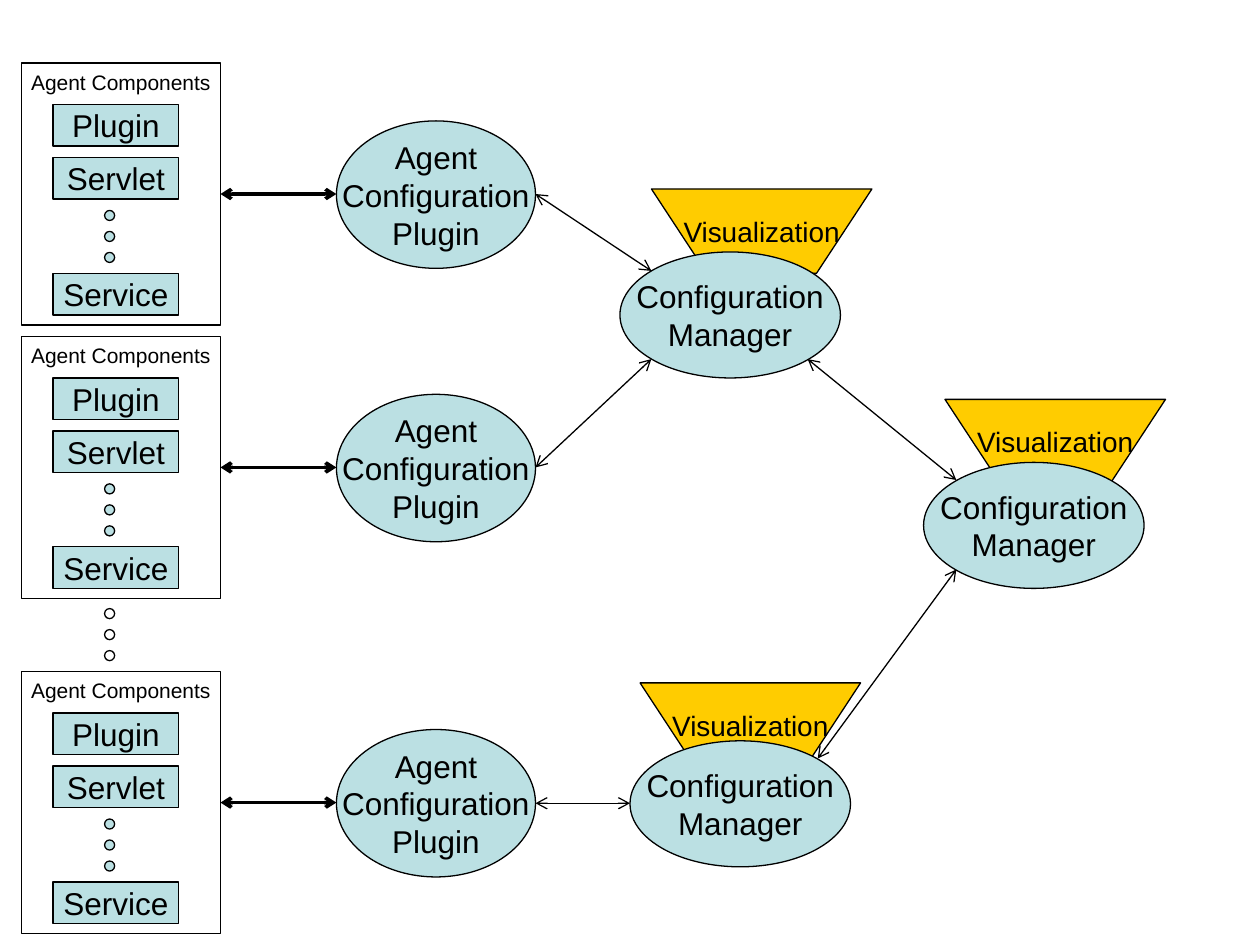
"""Build a slide of agents linked to a hierarchy of configuration managers."""
from lxml.etree import SubElement
from pptx import Presentation
from pptx.dml.color import RGBColor
from pptx.enum.shapes import MSO_CONNECTOR as CONN, MSO_SHAPE as SHAPE
from pptx.enum.text import MSO_ANCHOR as ANCHOR, PP_ALIGN as ALIGN
from pptx.oxml.ns import qn
from pptx.util import Inches, Pt

BLACK = RGBColor(0x00, 0x00, 0x00)
TEAL = RGBColor(0xBB, 0xE0, 0xE3)
GOLD = RGBColor(0xFF, 0xCC, 0x00)

FRAME_FORMAT = {
    "word_wrap": False,
    "margin_left": Inches(0.1),
    "margin_right": Inches(0.1),
    "margin_top": Inches(0.05),
    "margin_bottom": Inches(0.05),
}
THIN, THICK = 0.75, 2
AGENT_TOPS = (0.5, 2.67, 5.33)
COMPONENTS = (("Plugin", 0.33), ("Servlet", 0.75), ("Service", 1.67))
MANAGERS = ((4.92, 2), (5, 5.88), (7.33, 3.67))
VISUALIZATIONS = ((5.08, 5.42), (7.5, 3.17), (5.17, 1.5))
MANAGER_LINKS = (
    ((4.25, 3.71), (5.17, 2.85)),
    ((4.25, 1.54), (5.17, 2.15)),
    ((4.25, 6.375), (5, 6.375)),
    ((6.41, 2.85), (7.59, 3.81)),
    ((6.49, 6.02), (7.59, 4.52)),
)


def style(sp, fill=None):
    """Give a shape its fill and thin black outline."""
    sp.shadow.inherit = False
    if fill is None:
        sp.fill.background()
    else:
        sp.fill.solid()
        sp.fill.fore_color.rgb = fill
    sp.line.color.rgb = BLACK
    sp.line.width = Pt(THIN)


def write(sp, lines, size=18, anchor=ANCHOR.MIDDLE):
    """Write centred lines, one paragraph each."""
    tf = sp.text_frame
    for name, value in {**FRAME_FORMAT, "vertical_anchor": anchor}.items():
        setattr(tf, name, value)
    for i, line in enumerate(lines):
        p = tf.paragraphs[0] if i == 0 else tf.add_paragraph()
        p.alignment = ALIGN.CENTER
        r = p.add_run()
        r.text = line
        for name, value in {"name": "Arial", "size": Pt(size)}.items():
            setattr(r.font, name, value)
        r.font.color.rgb = BLACK


def add_box(shapes, kind, box, fill=None):
    """Add a styled preset shape at left, top, width, height in inches."""
    sp = shapes.add_shape(kind, *map(Inches, box))
    style(sp, fill)
    return sp


def add_dots(shapes, top, fill=None):
    """Add three small circles that stand for further items."""
    for i in range(3):
        add_box(shapes, SHAPE.OVAL, (0.83, top + i / 6, 0.08, 0.08), fill)


def add_link(shapes, start, end, width=THIN):
    """Add a line with an open arrowhead at both ends."""
    cxn = shapes.add_connector(CONN.STRAIGHT, *map(Inches, start + end))
    cxn.line.color.rgb = BLACK
    cxn.line.width = Pt(width)
    ln = cxn.line._get_or_add_ln()
    for tag in ("a:headEnd", "a:tailEnd"):
        SubElement(ln, qn(tag), type="arrow")
    SubElement(cxn._element.spPr, qn("a:effectLst"))


def add_visualization(shapes, left, top):
    """Add a gold trapezoid with its wide side up."""
    points = [(Inches(left + dx), Inches(top + dy))
              for dx, dy in ((0, 0), (1.75, 0), (1.31, 0.67), (0.44, 0.67))]
    builder = shapes.build_freeform(*points[0], scale=1.0)
    builder.add_line_segments(points[1:], close=True)
    sp = builder.convert_to_shape()
    style(sp, GOLD)
    write(sp, ["Visualization"], 16)


def add_agent(shapes, top):
    """Add an agent's components, its configuration plugin and their link."""
    group = shapes.add_group_shape().shapes
    frame = add_box(group, SHAPE.RECTANGLE, (0.17, top, 1.58, 2.08))
    write(frame, ["Agent Components"], 12, ANCHOR.TOP)
    for name, dy in COMPONENTS:
        box = (0.42, top + dy, 1, 0.33)
        write(add_box(group, SHAPE.RECTANGLE, box, TEAL), [name])
    add_dots(group, top + 1.17, TEAL)

    plugin = add_box(shapes, SHAPE.OVAL, (2.67, top + 0.46, 1.58, 1.17), TEAL)
    write(plugin, ["Agent", "Configuration", "Plugin"])
    middle = top + 1.04
    add_link(shapes, (1.75, middle), (2.67, middle), THICK)


def add_manager(shapes, left, top):
    """Add a configuration manager ellipse."""
    sp = add_box(shapes, SHAPE.OVAL, (left, top, 1.75, 1), TEAL)
    write(sp, ["Configuration", "Manager"])


def main():
    """Build and save the slide."""
    prs = Presentation()
    prs.slide_width, prs.slide_height = Inches(10), Inches(7.5)
    shapes = prs.slides.add_slide(prs.slide_layouts[6]).shapes
    for spot in VISUALIZATIONS:
        add_visualization(shapes, *spot)
    add_dots(shapes, 4.83)
    for top in AGENT_TOPS:
        add_agent(shapes, top)
    for spot in MANAGERS:
        add_manager(shapes, *spot)
    for start, end in MANAGER_LINKS:
        add_link(shapes, start, end)
    prs.save("out.pptx")


if __name__ == "__main__":
    main()
